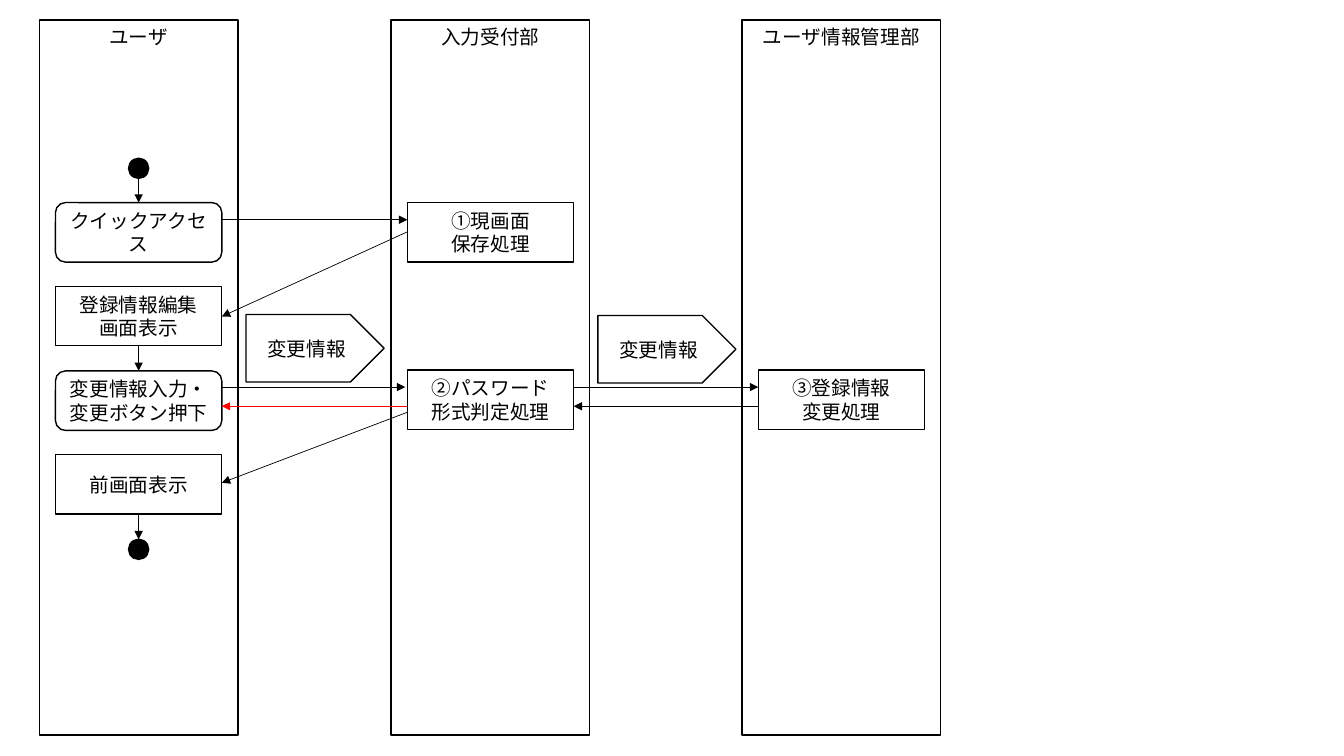
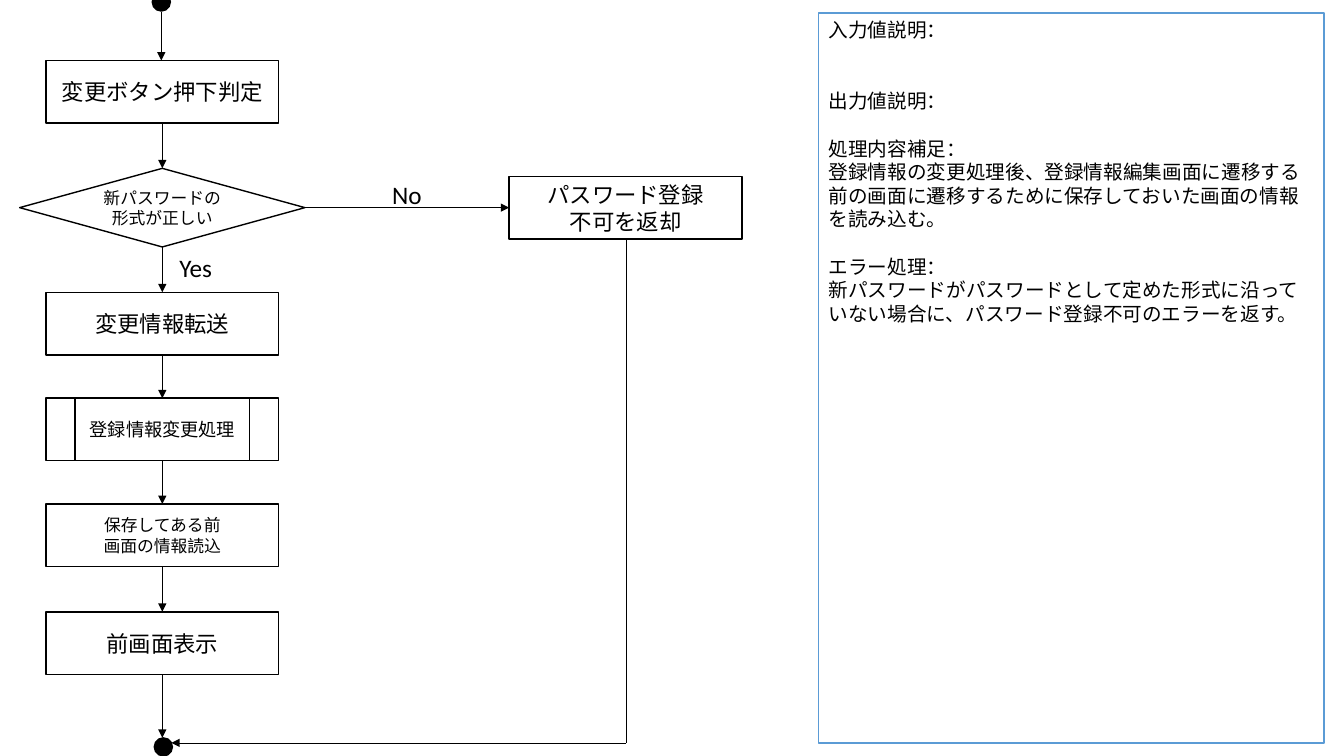
from itertools import pairwise

from pptx import Presentation
from pptx.dml.color import RGBColor
from pptx.enum.shapes import MSO_CONNECTOR, MSO_SHAPE
from pptx.enum.text import MSO_ANCHOR, PP_ALIGN
from pptx.oxml.ns import qn
from pptx.util import Inches, Pt
from lxml.etree import SubElement

BLACK = RGBColor(0, 0, 0)
WHITE = RGBColor(255, 255, 255)
RED = RGBColor(255, 0, 0)
BLUE = RGBColor(0x5B, 0x9B, 0xD5)

LANE_TOP, LANE_W, LANE_H = 0.2, 1.97, 7.09
LANES = [(0.39, "ユーザ"), (3.88, "入力受付部"), (7.36, "ユーザ情報管理部")]
BOX_INSET, BOX_W, BOX_H = 0.16, 1.65, 0.59
USER_X, INPUT_X, ADMIN_X = [x + BOX_INSET for x, _ in LANES]
ROWS = [2.01, 2.84, 3.68, 4.51]

FLOW_X, STEP_W, STEP_H = 1.61, 2.31, 0.62
NOTES = [
    ("入力値説明：", 0),
    ("出力値説明：", 34),
    ("処理内容補足：", 17),
    ("登録情報の変更処理後、登録情報編集画面に遷移する前の画面に遷移するために"
     "保存しておいた画面の情報を読み込む。", 0),
    ("エラー処理：", 17),
    ("新パスワードがパスワードとして定めた形式に沿っていない場合に、"
     "パスワード登録不可のエラーを返す。", 0),
]


def write(tf, text, size, align, font="Calibri"):
    tf.text = text
    for p in tf.paragraphs:
        p.alignment = align
        p.font.size = Pt(size)
        p.font.name = font
        p.font.color.rgb = BLACK


def add_box(s, kind, x, y, w, h, text="", size=14, fill=WHITE, line=BLACK,
            anchor=MSO_ANCHOR.MIDDLE, align=PP_ALIGN.CENTER, font="Calibri"):
    sp = s.shapes.add_shape(kind, Inches(x), Inches(y), Inches(w), Inches(h))
    sp.shadow.inherit = False
    sp.fill.solid()
    sp.fill.fore_color.rgb = fill
    sp.line.color.rgb = line
    sp.line.width = Pt(1)
    tf = sp.text_frame
    tf.word_wrap = True
    tf.vertical_anchor = anchor
    write(tf, text, size, align, font)
    return sp


def add_dot(s, center, top, size):
    add_box(s, MSO_SHAPE.OVAL, center - size / 2, top, size, size, fill=BLACK)


def add_line(s, x1, y1, x2, y2, color=BLACK, arrow=True):
    cxn = s.shapes.add_connector(MSO_CONNECTOR.STRAIGHT, Inches(x1), Inches(y1),
                                 Inches(x2), Inches(y2))
    cxn.line.color.rgb = color
    cxn.line.width = Pt(0.5)
    sp_pr = cxn._element.spPr
    if arrow:
        SubElement(sp_pr.find(qn("a:ln")), qn("a:tailEnd"), type="triangle")
    SubElement(sp_pr, qn("a:effectLst"))


def add_label(s, x, y, w, text):
    sp = s.shapes.add_textbox(Inches(x), Inches(y), Inches(w), Inches(0.4))
    sp.text_frame.word_wrap = False
    write(sp.text_frame, text, 18, PP_ALIGN.LEFT)


def build_lanes(s):
    for x, name in LANES:
        add_box(s, MSO_SHAPE.RECTANGLE, x, LANE_TOP, LANE_W, LANE_H, name,
                anchor=MSO_ANCHOR.TOP, font="Arial")

    action, process = MSO_SHAPE.ROUNDED_RECTANGLE, MSO_SHAPE.RECTANGLE
    for kind, x, y, text in [
        (action, USER_X, ROWS[0], "クイックアクセス"),
        (process, USER_X, ROWS[1], "登録情報編集\n画面表示"),
        (action, USER_X, ROWS[2], "変更情報入力・\n変更ボタン押下"),
        (process, USER_X, ROWS[3], "前画面表示"),
        (process, INPUT_X, ROWS[0], "①現画面\n保存処理"),
        (process, INPUT_X, 3.67, "②パスワード\n形式判定処理"),
        (process, ADMIN_X, 3.67, "③登録情報\n変更処理"),
    ]:
        add_box(s, kind, x, y, BOX_W, BOX_H, text)

    center = USER_X + BOX_W / 2
    for top in (1.57, 5.35):
        add_dot(s, center, top, 0.2)
    for y1, y2 in [(1.77, ROWS[0]), (ROWS[1] + BOX_H, ROWS[2]),
                   (ROWS[3] + BOX_H, 5.35)]:
        add_line(s, center, y1, center, y2)

    user_edge, input_edge = USER_X + BOX_W, INPUT_X + BOX_W
    for x1, y1, x2, y2, color in [
        (user_edge, 2.18, INPUT_X, 2.18, BLACK),
        (INPUT_X, 2.3, user_edge, 3.14, BLACK),
        (user_edge, 3.84, INPUT_X - 0.02, 3.84, BLACK),
        (INPUT_X, 4.03, user_edge, 4.03, RED),
        (INPUT_X, 4.09, user_edge, 4.79, BLACK),
        (input_edge, 3.84, ADMIN_X, 3.84, BLACK),
        (ADMIN_X, 4.03, input_edge, 4.03, BLACK),
    ]:
        add_line(s, x1, y1, x2, y2, color)

    for x, y in [(2.44, 3.12), (5.93, 3.13)]:
        add_box(s, MSO_SHAPE.PENTAGON, x, y, 1.37, 0.67, "変更情報")


def build_flowchart(s):
    process = MSO_SHAPE.FLOWCHART_PROCESS
    steps = [
        (process, 0.6, STEP_W, STEP_H, "変更ボタン押下判定", 16),
        (MSO_SHAPE.FLOWCHART_DECISION, 1.67, 2.83, 0.78,
         "新パスワードの形式が正しい", 12),
        (process, 2.9, STEP_W, STEP_H, "変更情報転送", 16),
        (MSO_SHAPE.FLOWCHART_PREDEFINED_PROCESS, 3.95, STEP_W, STEP_H,
         "登録情報変更処理", 13),
        (process, 5, STEP_W, STEP_H, "保存してある前\n画面の情報読込", 12),
        (process, 6.07, STEP_W, STEP_H, "前画面表示", 16),
    ]
    for kind, y, w, h, text, size in steps:
        add_box(s, kind, FLOW_X - w / 2, y, w, h, text, size)

    start_x, end_y = 1.6, 7.32
    add_dot(s, start_x, -0.07, 0.18)
    add_dot(s, FLOW_X + 0.01, end_y, 0.18)
    add_line(s, start_x, 0.12, start_x, steps[0][1])
    spans = [(y, y + h) for _, y, _, h, _, _ in steps] + [(end_y, end_y)]
    for (_, bottom), (top, _) in pairwise(spans):
        add_line(s, FLOW_X, bottom, FLOW_X, top)

    add_box(s, process, 5.05, 1.75, STEP_W, STEP_H, "パスワード登録\n不可を返却", 16)
    add_line(s, 3.03, 2.06, 5.05, 2.06)
    add_line(s, 6.21, 2.37, 6.21, 7.37, arrow=False)
    add_line(s, 6.21, 7.37, 1.7, 7.37)
    add_label(s, 1.68, 2.45, 0.56, "Yes")
    add_label(s, 3.79, 1.73, 0.5, "No")

    sp = add_box(s, process, 8.12, 0.13, 5.01, 7.24,
                 "\n".join(text for text, _ in NOTES), line=BLUE,
                 anchor=MSO_ANCHOR.TOP, align=PP_ALIGN.LEFT)
    for p, (_, gap) in zip(sp.text_frame.paragraphs, NOTES):
        p.space_before = Pt(gap)


def main():
    prs = Presentation()
    prs.slide_width, prs.slide_height = Inches(13.33), Inches(7.5)
    blank = prs.slide_layouts[6]
    for build in (build_lanes, build_flowchart):
        build(prs.slides.add_slide(blank))
    prs.save("out.pptx")


if __name__ == "__main__":
    main()
